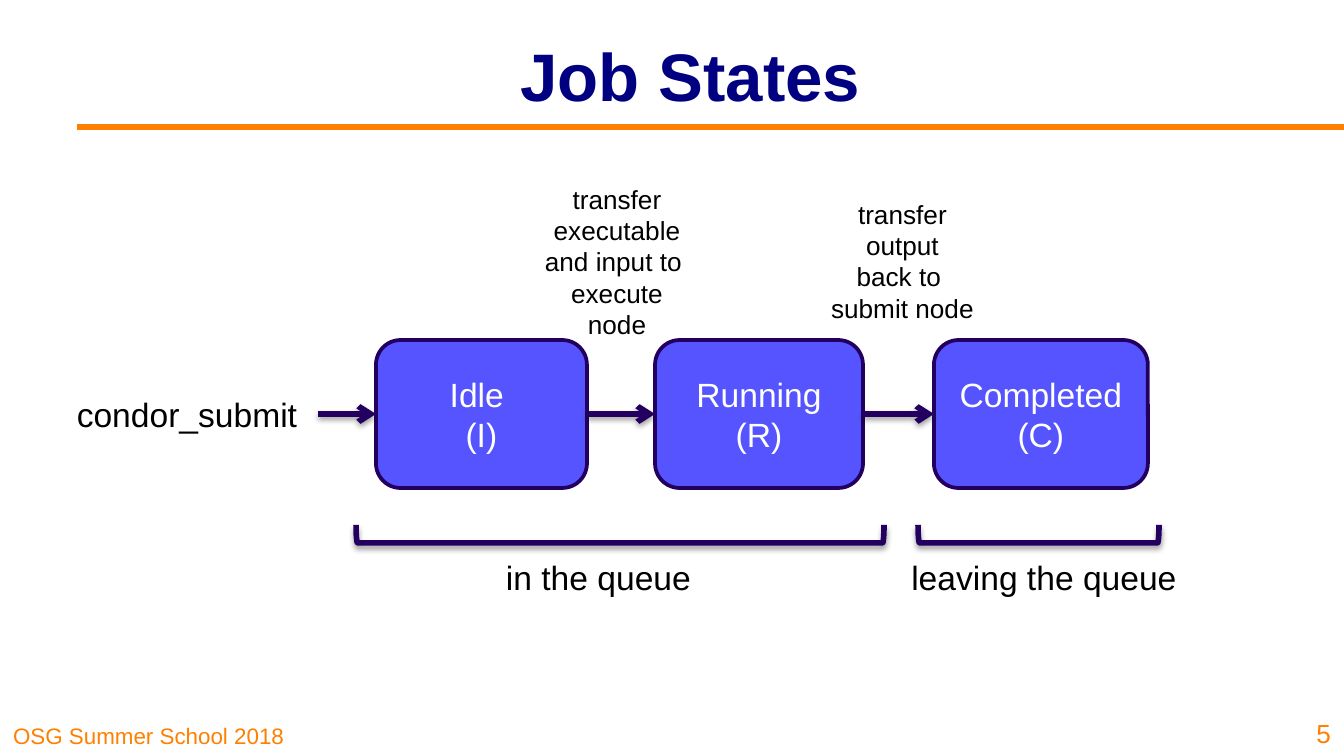
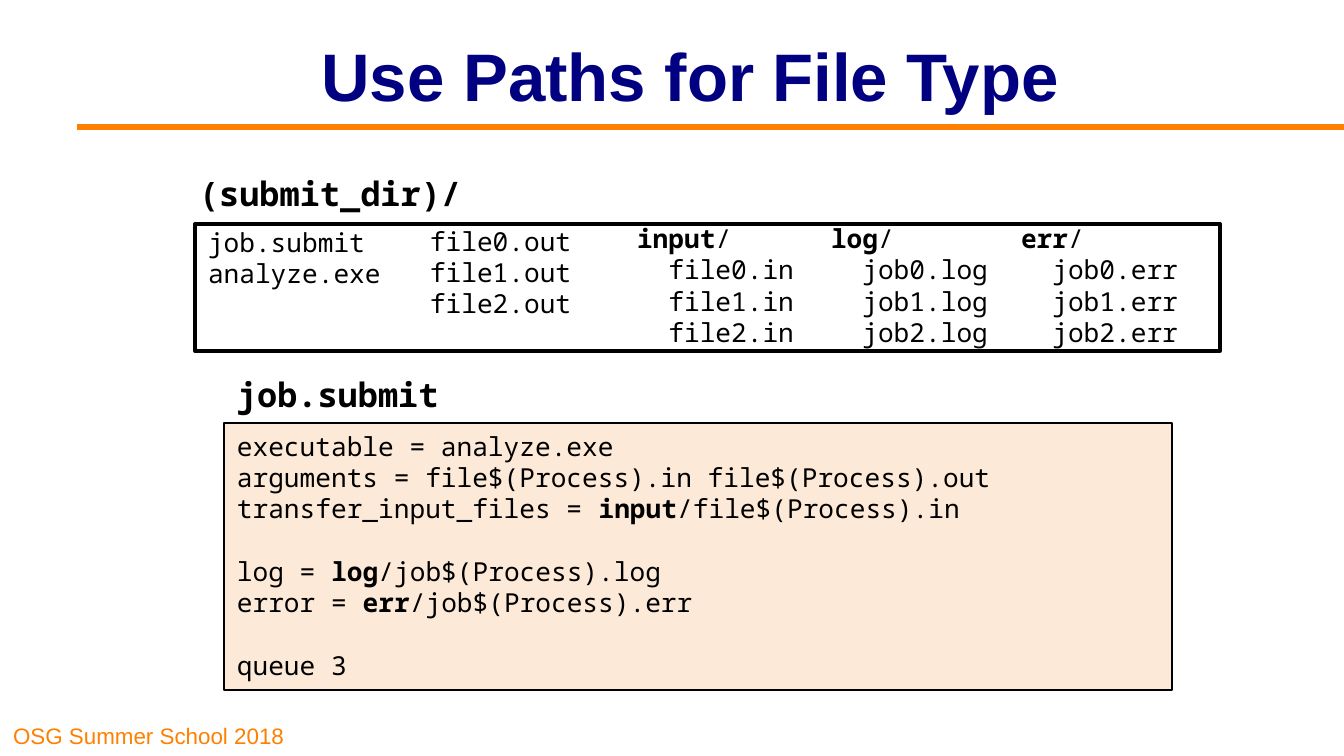
from lxml import etree
from pptx import Presentation
from pptx import util as u
from pptx.dml import color
from pptx.enum import shapes, text
from pptx.oxml import ns

PX = 9144000 / 1344
COLORS = {
    "navy": "000080",
    "orange": "FF8000",
    "violet": "5554FF",
    "indigo": "23005F",
    "peach": "FCE9D7",
    "black": "000000",
    "white": "FFFFFF",
}
SANS, MONO = "Arial", "Noto Sans Mono"
LEFT, CENTER, RIGHT = text.PP_ALIGN.LEFT, text.PP_ALIGN.CENTER, text.PP_ALIGN.RIGHT
TOP, MIDDLE, BOTTOM = text.MSO_ANCHOR.TOP, text.MSO_ANCHOR.MIDDLE, text.MSO_ANCHOR.BOTTOM
ROUNDED, RECTANGLE = shapes.MSO_SHAPE.ROUNDED_RECTANGLE, shapes.MSO_SHAPE.RECTANGLE


def px(*lengths):
    return [u.Emu(round(length * PX)) for length in lengths]


def rgb(name):
    return color.RGBColor.from_string(COLORS[name])


def assign(target, values):
    for name, value in values.items():
        setattr(target, name, value)


class SlideBuilder:
    def __init__(self, deck):
        self.deck = deck
        self.page = None

    def start(self, title):
        self.page = self.deck.slides.add_slide(self.deck.slide_layouts[6])
        self.label((0, 714, 333, 42), ["OSG Summer School 2018"],
                   size=12, tint="orange", anchor=BOTTOM)
        self.line((77, 127), (1344, 127), "orange")
        self.label((180, 12, 1021, 126), [f"|{title}|"],
                   size=36, tint="navy", align=CENTER, anchor=MIDDLE)

    def fill_text(self, box, lines, size=18, tint="black", font=SANS, align=LEFT,
                  anchor=TOP, wrap=True, top=7, gaps=()):
        side, upper, lower = px(13, top, 7)
        frame = box.text_frame
        assign(frame, {"word_wrap": wrap, "vertical_anchor": anchor,
                       "margin_left": side, "margin_right": side,
                       "margin_top": upper, "margin_bottom": lower})
        for row, line in enumerate(lines):
            para = frame.add_paragraph() if row else frame.paragraphs[0]
            para.alignment = align
            if row in gaps:
                para.space_before = u.Pt(16.8)
            for part, words in enumerate(line.split("|")):
                if words:
                    span = para.add_run()
                    span.text = words
                    assign(span.font, {"name": font, "size": u.Pt(size), "bold": part % 2 == 1})
                    span.font.color.rgb = rgb(tint)

    def label(self, area, lines, **style):
        box = self.page.shapes.add_textbox(*px(*area))
        self.fill_text(box, lines, **style)
        return box

    def block(self, kind, area, lines=(), fill=None, border=None, weight=2, **style):
        box = self.page.shapes.add_shape(kind, *px(*area))
        box.shadow.inherit = False
        if fill:
            box.fill.solid()
            box.fill.fore_color.rgb = rgb(fill)
        else:
            box.fill.background()
        if border:
            box.line.color.rgb = rgb(border)
            box.line.width = u.Pt(weight)
        else:
            box.line.fill.background()
        self.fill_text(box, lines, **style)
        return box

    def line(self, start, end, tint):
        link = self.page.shapes.add_connector(shapes.MSO_CONNECTOR.STRAIGHT, *px(*start, *end))
        link.line.color.rgb = rgb(tint)
        link.line.width = u.Pt(3)
        etree.SubElement(link._element.spPr, ns.qn("a:effectLst"))
        return link

    def arrow(self, source, target):
        link = self.line((0, 0), (0, 0), "indigo")
        link.begin_connect(source, 3)
        link.end_connect(target, 1)
        outline = link._element.spPr.find(ns.qn("a:ln"))
        etree.SubElement(outline, ns.qn("a:tailEnd"), type="arrow")
        self.cast_shadow(link)

    def bracket(self, left, top, length, depth=18):
        shift = (length - depth) / 2
        area = (left + shift, top - shift, depth, length)
        box = self.block(shapes.MSO_SHAPE.RIGHT_BRACKET, area, border="indigo", weight=3)
        box.rotation = 90
        self.cast_shadow(box)

    def cast_shadow(self, item):
        effects = item._element.spPr.find(ns.qn("a:effectLst"))
        shadow = etree.SubElement(effects, ns.qn("a:outerShdw"), blurRad="40000",
                                  dist="20000", dir="5400000", rotWithShape="0")
        shade = etree.SubElement(shadow, ns.qn("a:srgbClr"), val=COLORS["black"])
        etree.SubElement(shade, ns.qn("a:alpha"), val="38000")


def job_states(slide):
    slide.start("Job States")
    centered = {"align": CENTER, "anchor": MIDDLE}
    previous = slide.block(ROUNDED, (56, 377, 262, 74), ["condor_submit"],
                           fill="white", **centered)
    states = [(211, ["Idle ", "(I)"]), (208, ["Running (R)"]), (214, ["Completed", "(C)"])]
    for step, (width, lines) in enumerate(states):
        state = slide.block(ROUNDED, (376 + 279 * step, 340, width, 148), lines,
                            fill="violet", border="indigo", tint="white", **centered)
        slide.arrow(previous, state)
        previous = state

    transfers = [
        ((531, 176, 172, 172), ["transfer", "executable", "and input to ", "execute", "node"]),
        ((817, 191, 171, 140), ["transfer", "output", "back to ", "submit node"]),
    ]
    for area, lines in transfers:
        slide.label(area, lines, size=14, align=CENTER, wrap=False)

    phases = [(356, 528, 460, 277, "in the queue"), (918, 241, 878, 332, "leaving the queue")]
    for left, length, caption_left, caption_width, caption in phases:
        slide.bracket(left, 525, length)
        slide.block(ROUNDED, (caption_left, 540, caption_width, 74), [caption], **centered)
    slide.label((1282, 705, 62, 51), ["5"], size=14, tint="orange", align=RIGHT, anchor=BOTTOM)


def file_paths(slide):
    slide.start("Use Paths for File Type")
    code = {"size": 14, "font": MONO}
    submit_file = [
        "executable = analyze.exe",
        "arguments = file$(Process).in file$(Process).out",
        "transfer_input_files = |input|/file$(Process).in",
        "log = |log|/job$(Process).log",
        "error = |err|/job$(Process).err",
        "queue 3",
    ]
    slide.block(RECTANGLE, (224, 423, 948, 267), submit_file, fill="peach",
                border="black", weight=0.75, gaps=(3, 5), **code)
    slide.block(RECTANGLE, (195, 224, 1025, 127), ["job.submit", "analyze.exe"],
                fill="white", border="black", top=2, **code)
    folders = [(624, "input", "file", "in"), (818, "log", "job", "log"), (1008, "err", "job", "err")]
    for left, folder, stem, suffix in folders:
        lines = [f"|{folder}|/"] + [f"  {stem}{number}.{suffix}" for number in range(3)]
        slide.label((left, 224, 226, 122), lines, anchor=MIDDLE, **code)
    slide.label((417, 219, 171, 106), [f"file{number}.out" for number in range(3)],
                anchor=MIDDLE, **code)
    slide.label((224, 367, 247, 54), ["|job.submit|"], font=MONO)
    slide.label((186, 166, 319, 54), ["|(submit_dir)/|"], font=MONO)


def main():
    deck = Presentation()
    deck.slide_width, deck.slide_height = px(1344, 756)
    slide = SlideBuilder(deck)
    job_states(slide)
    file_paths(slide)
    deck.save("out.pptx")


if __name__ == "__main__":
    main()
